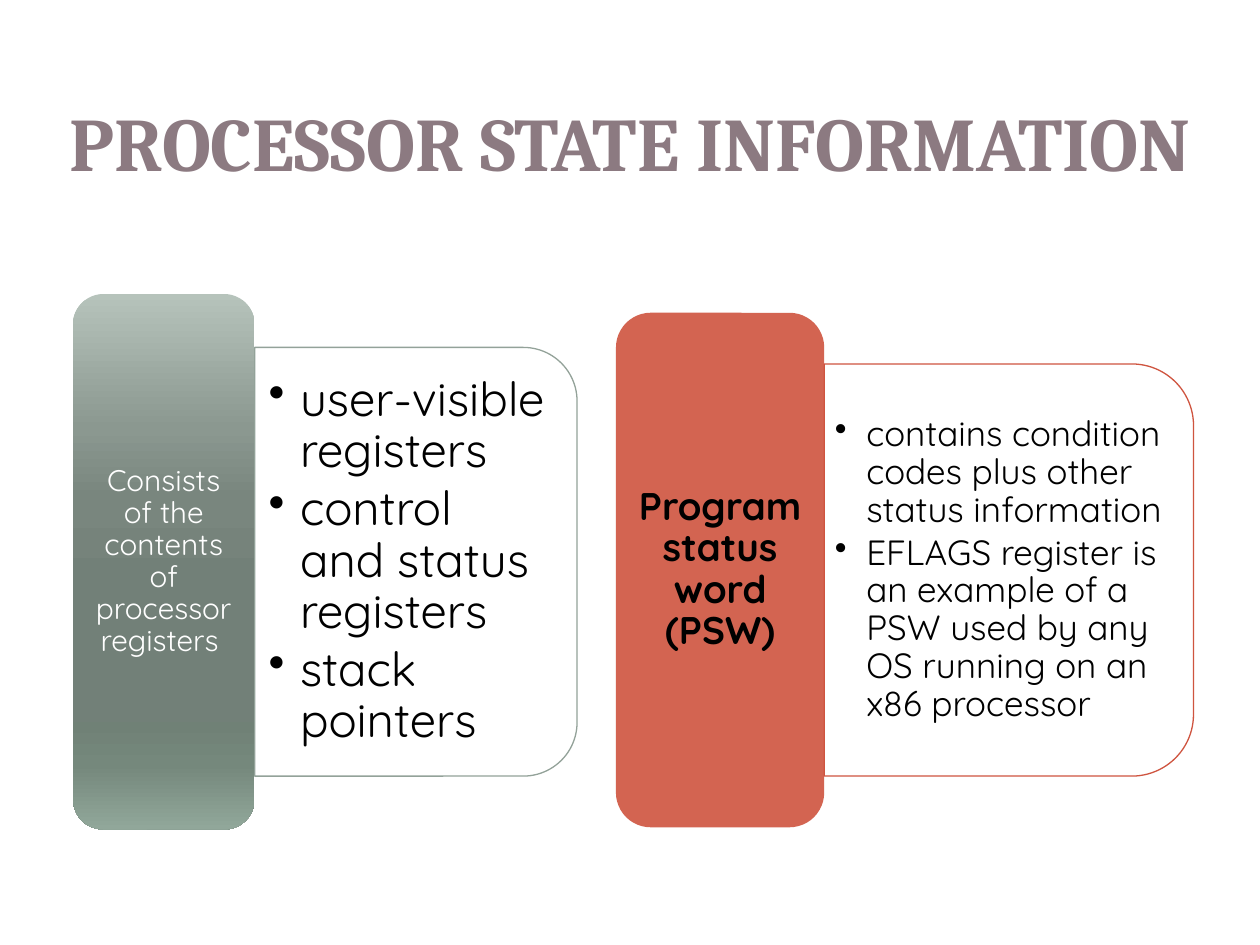
from lxml import etree
from pptx import Presentation
from pptx.dml.color import RGBColor
from pptx.enum.shapes import MSO_SHAPE
from pptx.enum.text import MSO_ANCHOR, PP_ALIGN
from pptx.oxml.ns import qn
from pptx.util import Pt

ROUNDED = MSO_SHAPE.ROUNDED_RECTANGLE
TWO_ROUNDED = MSO_SHAPE.ROUND_2_SAME_RECTANGLE
MIDDLE, CENTER = MSO_ANCHOR.MIDDLE, PP_ALIGN.CENTER

COLORS = {"title": "8C7A81", "white": "FFFFFF", "black": "000000",
          "red": "CF543F", "sage": "93A299"}
SAGE_STOPS = [(0, "B6C3BB"), (25, "8B9890"), (38, "79867E"), (55, "728078"),
              (80, "708176"), (88, "75887C"), (100, "91A79A")]
TITLE = "PROCESSOR STATE INFORMATION"
PANELS = [
    {"tab": "Program status word (PSW)", "tab_size": 22, "tab_color": "black",
     "bold": True, "line": "red", "stops": None, "alpha": 90,
     "left": 352, "middle": 325.75, "tab_box": (119, 294),
     "body_box": (211, 235.5), "text_box": (201, 214.5),
     "tab_inset": (6.6, 3.6), "inset": (6, 3), "size": 20,
     "items": ["contains condition codes plus other status information",
               "EFLAGS register is an example of a PSW used by any OS "
               "running on an x86 processor"]},
    {"tab": "Consists of the contents of processor registers ", "tab_size": 17,
     "tab_color": "white", "bold": False, "line": "sage", "stops": SAGE_STOPS,
     "left": 41.75, "middle": 321, "tab_box": (103.75, 306),
     "body_box": (184.25, 245), "text_box": (175.75, 227),
     "tab_inset": (5, 3), "inset": (8, 4.25), "size": 27,
     "items": ["user-visible registers", "control and status registers",
               "stack pointers"]},
]


def rgb(name):
    return RGBColor.from_string(COLORS[name])


def add_part(parent, kind, x, y, w, h):
    box = (Pt(x), Pt(y), Pt(w), Pt(h))
    if kind is None:
        return parent.add_textbox(*box)
    sp = parent.add_shape(kind, *box)
    sp.shadow.inherit = False
    return sp


def write(sp, lines, size, color, inset, font="Quicksand", bold=False,
          align=None, spacing=0.9, after=0, bullets=False):
    tf = sp.text_frame
    tf.word_wrap = True
    tf.vertical_anchor = MIDDLE
    tf.margin_left = tf.margin_right = Pt(inset[0])
    tf.margin_top = tf.margin_bottom = Pt(inset[1])
    tf.text = "\n".join(lines)
    for p in tf.paragraphs:
        p.alignment = align
        p.line_spacing = spacing
        p.space_after = Pt(round(after * size, 2))
        f = p.runs[0].font
        f.name, f.size, f.bold = font, Pt(size), bold
        f.color.rgb = rgb(color)
        if bullets:
            pPr = p._p.get_or_add_pPr()
            pPr.set("marL", str(Pt(18)))
            pPr.set("indent", str(-Pt(18)))
            etree.SubElement(pPr, qn("a:buChar"), char="•")


def fill_gradient(sp, stops):
    sp.fill.gradient()
    sp.fill.gradient_angle = 270
    gs_list = sp._element.spPr.find(qn("a:gradFill")).find(qn("a:gsLst"))
    for gs in list(gs_list):
        gs_list.remove(gs)
    for pos, color in stops:
        gs = etree.SubElement(gs_list, qn("a:gs"), pos=str(pos * 1000))
        etree.SubElement(gs, qn("a:srgbClr"), val=color)


def fill_solid(sp, name, alpha=100):
    sp.fill.solid()
    sp.fill.fore_color.rgb = rgb(name)
    if alpha < 100:
        clr = sp._element.spPr.find(qn("a:solidFill")).find(qn("a:srgbClr"))
        etree.SubElement(clr, qn("a:alpha"), val=str(alpha * 1000))


def add_panel(shapes, panel):
    middle = panel["middle"]
    tab_w, tab_h = panel["tab_box"]
    body_w, body_h = panel["body_box"]
    text_w, text_h = panel["text_box"]
    body_x = panel["left"] + tab_w

    body = add_part(shapes, TWO_ROUNDED, body_x + (body_w - body_h) / 2,
                    middle - body_w / 2, body_h, body_w)
    body.rotation = 90
    fill_solid(body, "white")
    body.line.color.rgb = rgb(panel["line"])
    body.line.width = Pt(0.75)

    text = add_part(shapes, None, body_x, middle - text_h / 2, text_w, text_h)
    write(text, panel["items"], panel["size"], "black", panel["inset"],
          after=0.15, bullets=True)

    tab = add_part(shapes, ROUNDED, panel["left"], middle - tab_h / 2, tab_w, tab_h)
    tab.line.fill.background()
    if panel["stops"]:
        fill_gradient(tab, panel["stops"])
    else:
        fill_solid(tab, panel["line"], panel["alpha"])
    write(tab, [panel["tab"]], panel["tab_size"], panel["tab_color"],
          panel["tab_inset"], bold=panel["bold"], align=CENTER, after=0.35)


def main():
    prs = Presentation()
    prs.slide_width, prs.slide_height = Pt(720), Pt(540)
    s = prs.slides.add_slide(prs.slide_layouts[6])
    title = add_part(s.shapes, None, 30, 36, 660, 90)
    write(title, [TITLE], 43.2, "title", (7.2, 3.6), font="Cambria",
          bold=True, align=CENTER, spacing=1.0)
    for panel in PANELS:
        add_panel(s.shapes, panel)
    prs.save("out.pptx")


if __name__ == "__main__":
    main()
